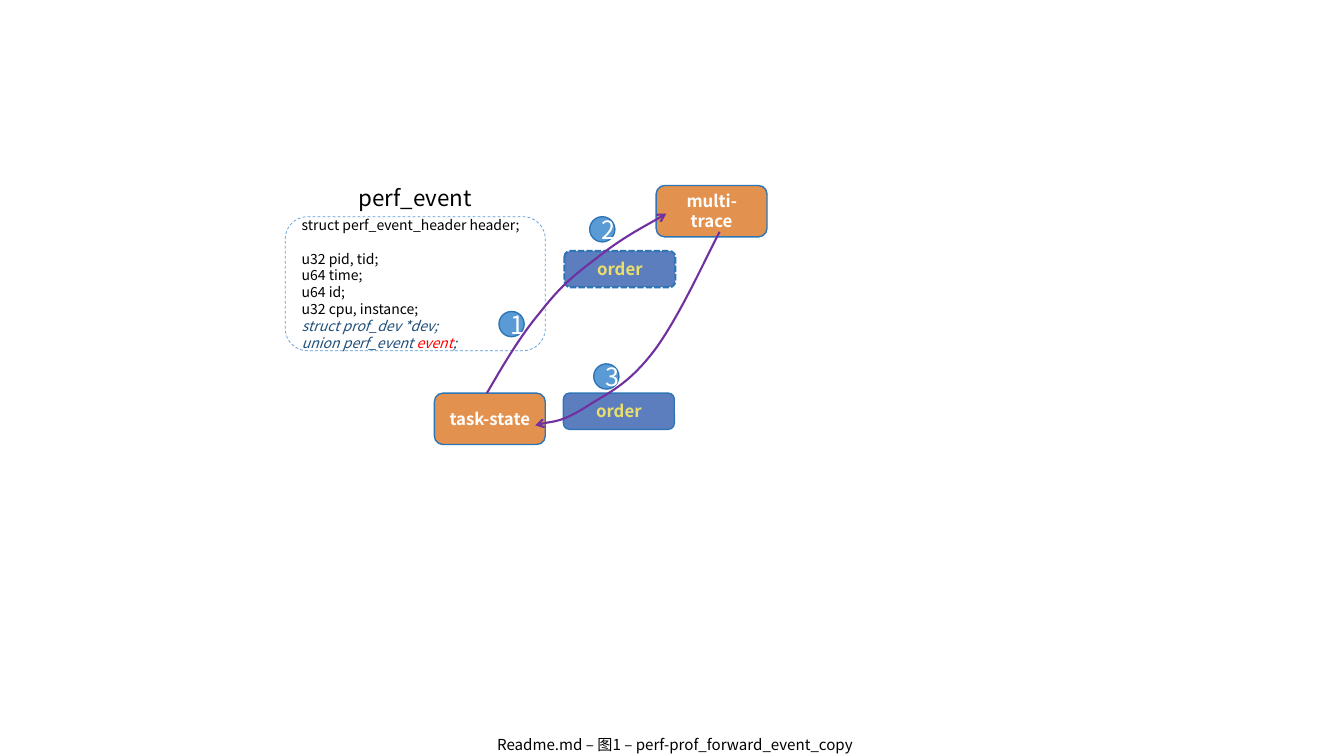
from dataclasses import dataclass
from typing import Optional

from lxml.etree import SubElement
from pptx import Presentation
from pptx.dml.color import RGBColor
from pptx.enum.dml import MSO_LINE
from pptx.enum.shapes import MSO_SHAPE as Preset
from pptx.enum.text import MSO_ANCHOR as Anchor, MSO_AUTO_SIZE as AutoSize, PP_ALIGN as Align
from pptx.oxml.ns import qn
from pptx.util import Pt

FONT = "Noto Sans CJK SC"
BLACK = RGBColor(0x00, 0x00, 0x00)
WHITE = RGBColor(0xFF, 0xFF, 0xFF)
RED = RGBColor(0xFF, 0x00, 0x00)
NAVY = RGBColor(0x1F, 0x4E, 0x79)
EDGE_BLUE = RGBColor(0x2E, 0x75, 0xB6)
LIGHT_BLUE = RGBColor(0x5B, 0x9B, 0xD5)
ORDER_BLUE = RGBColor(0x5D, 0x7E, 0xBE)
ORANGE = RGBColor(0xE3, 0x91, 0x4F)
YELLOW = RGBColor(0xEB, 0xDF, 0x6A)
PURPLE = RGBColor(0x70, 0x30, 0xA0)

BLOCK_WIDTH, STAGE_HEIGHT, ORDER_HEIGHT = 79.2, 36.72, 25.92
BADGE_SIZE = 18


@dataclass
class Block:
    text: str
    left: float
    top: float
    width: float
    height: float
    fill: Optional[RGBColor]
    color: RGBColor = WHITE
    size: float = 12
    bold: bool = True
    preset: Preset = Preset.ROUNDED_RECTANGLE
    edge: RGBColor = EDGE_BLUE
    edge_width: float = 1
    dash: Optional[MSO_LINE] = None


def stage(text: str, left: float, top: float) -> Block:
    return Block(text, left, top, BLOCK_WIDTH, STAGE_HEIGHT, ORANGE)


def order(left: float, top: float, edge_width: float = 1,
          dash: Optional[MSO_LINE] = None) -> Block:
    return Block("order", left, top, BLOCK_WIDTH, ORDER_HEIGHT, ORDER_BLUE, YELLOW,
                 edge_width=edge_width, dash=dash)


def badge(number: int, left: float, top: float) -> Block:
    return Block(str(number), left, top, BADGE_SIZE, BADGE_SIZE, LIGHT_BLUE,
                 size=18, bold=False, preset=Preset.OVAL)


STRUCT_BOX = Block("", 203.76, 154.8, 185.76, 95.76, None, edge=LIGHT_BLUE,
                   edge_width=0.5, dash=MSO_LINE.DASH)
BLOCKS = [
    badge(3, 424.08, 259.92),
    badge(2, 421.2, 154.8),
    badge(1, 356.4, 222.48),
    stage("multi-trace", 468.72, 132.48),
    order(403.2, 179.28, 1.5, MSO_LINE.SQUARE_DOT),
    order(402.48, 280.8),
]
PLAIN_FIELDS = ["struct perf_event_header header;", "u32 pid, tid;", "u64 time;",
                "u64 id;", "u32 cpu, instance;"]
FIELDS = [[(field, BLACK, False)] for field in PLAIN_FIELDS] + [
    [("struct prof_dev *dev;", NAVY, True)],
    [("union perf_event ", NAVY, True), ("event", RED, True), (";", NAVY, True)],
]
# Start point, then two control points and an end point for each Bézier piece
FLOWS = [
    [(347.76, 280.8),
     (354.24, 270), (369.36, 242.64), (385.2, 223.92),
     (400.32, 204.48), (408.24, 198), (426.24, 184.32),
     (444.24, 169.92), (466.56, 158.4), (475.92, 152.64)],
    [(514.08, 165.6),
     (505.44, 181.44), (486, 225.36), (467.28, 250.56),
     (447.84, 275.76), (434.88, 280.08), (418.32, 290.88),
     (401.04, 301.68), (388.08, 301.68), (382.32, 303.84)],
]


def add_span(para, text: str, *, size: float, color: RGBColor = BLACK,
             bold: bool = False, italic: bool = False) -> None:
    span = para.add_run()
    span.text = text
    font = span.font
    font.name, font.size = FONT, Pt(size)
    font.bold, font.italic = bold, italic
    font.color.rgb = color
    SubElement(font._element, qn("a:ea"), typeface=FONT)


def add_block(page, block: Block):
    shape = page.shapes.add_shape(block.preset, Pt(block.left), Pt(block.top),
                                  Pt(block.width), Pt(block.height))
    shape.shadow.inherit = False
    if block.fill is None:
        shape.fill.background()
    else:
        shape.fill.solid()
        shape.fill.fore_color.rgb = block.fill
    shape.line.color.rgb = block.edge
    shape.line.width = Pt(block.edge_width)
    if block.dash is not None:
        shape.line.dash_style = block.dash
    shape.text_frame.vertical_anchor = Anchor.MIDDLE
    if block.text:
        para = shape.text_frame.paragraphs[0]
        para.alignment = Align.CENTER
        add_span(para, block.text, size=block.size, color=block.color, bold=block.bold)
    return shape


def add_flow(page, points: list[tuple[float, float]]) -> None:
    start, *rest = [(Pt(x), Pt(y)) for x, y in points]
    builder = page.shapes.build_freeform(*start)
    builder.add_line_segments(rest, close=False)
    shape = builder.convert_to_shape()
    shape.shadow.inherit = False
    shape.fill.background()
    shape.line.color.rgb = PURPLE
    shape.line.width = Pt(1.5)
    SubElement(shape.line._get_or_add_ln(), qn("a:tailEnd"), type="arrow")
    # Turn every three line steps into one cubic curve
    steps = list(shape._element.iter(qn("a:lnTo")))
    outline = steps[0].getparent()
    for first in range(0, len(steps), 3):
        curve = SubElement(outline, qn("a:cubicBezTo"))
        for step in steps[first:first + 3]:
            curve.append(step[0])
            outline.remove(step)


def main() -> None:
    deck = Presentation()
    deck.slide_width, deck.slide_height = Pt(960), Pt(540)
    page = deck.slides.add_slide(deck.slide_layouts[5])

    # Caption
    title = page.shapes.title
    title.left, title.top, title.width, title.height = Pt(2.16), Pt(522.72), Pt(960), Pt(20.16)
    frame = title.text_frame
    frame.auto_size, frame.vertical_anchor = AutoSize.NONE, Anchor.MIDDLE
    para = frame.paragraphs[0]
    para.alignment, para.line_spacing = Align.CENTER, 0.9
    add_span(para, "Readme.md – 图1 – perf-prof_forward_event_copy", size=10.8)

    add_block(page, stage("task-state", 310.32, 280.8))

    # Event structure
    heading = page.shapes.add_textbox(Pt(240.48), Pt(128.16), Pt(112.32), Pt(26.64))
    heading.text_frame.word_wrap = True
    para = heading.text_frame.paragraphs[0]
    para.alignment = Align.CENTER
    add_span(para, "perf_event", size=16)

    frame = add_block(page, STRUCT_BOX).text_frame
    for index, spans in enumerate(FIELDS):
        para = frame.add_paragraph() if index else frame.paragraphs[0]
        para.alignment = Align.LEFT
        if index == 0:
            para.space_after = Pt(12)
        for text, color, italic in spans:
            add_span(para, text, size=10, color=color, italic=italic)

    # Badges, stages and flows
    for block in BLOCKS:
        add_block(page, block)
    for points in FLOWS:
        add_flow(page, points)

    deck.save("out.pptx")


if __name__ == "__main__":
    main()
